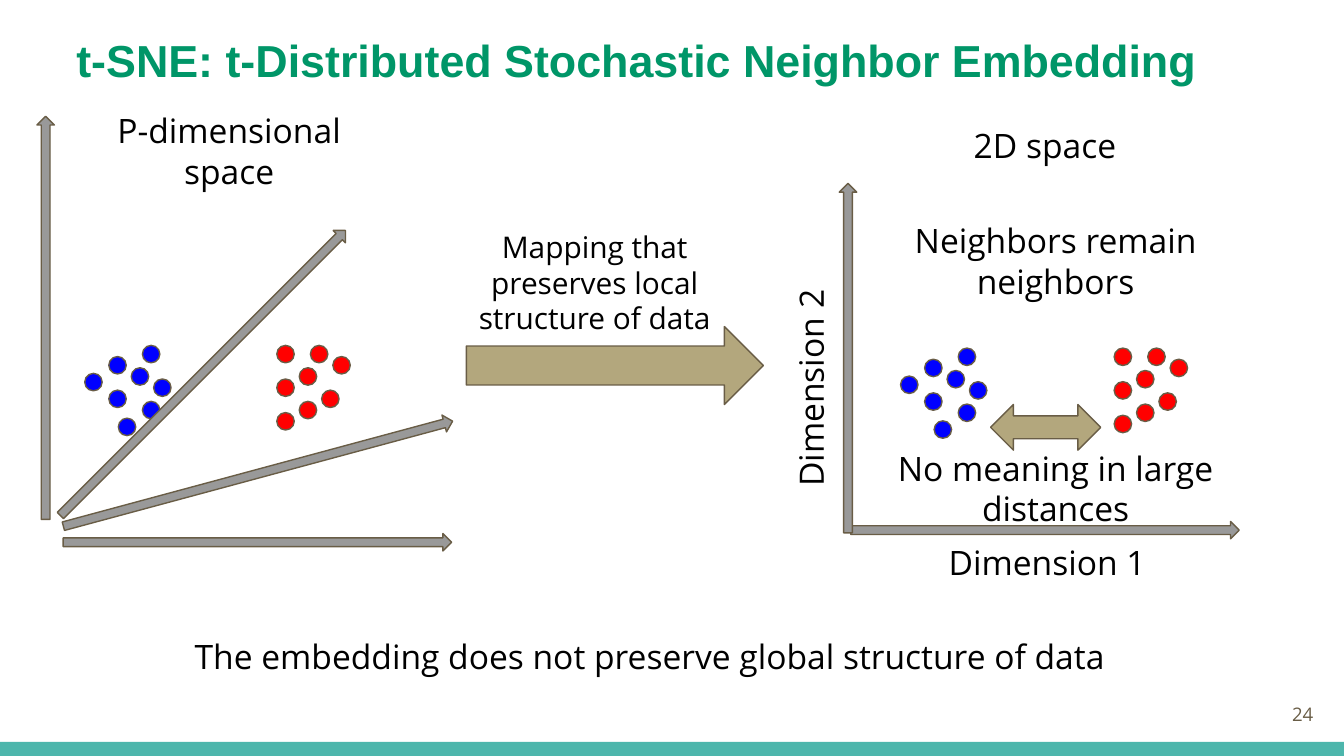
import pptx
import pptx.dml.color
import pptx.enum.shapes
import pptx.enum.text
import pptx.util
from dataclasses import dataclass

SHAPE = pptx.enum.shapes.MSO_SHAPE
ALIGN = pptx.enum.text.PP_ALIGN
ANCHOR = pptx.enum.text.MSO_ANCHOR

# The slide is a grid of 100 columns; rows have the same size
CELL = pptx.util.Inches(0.1)
COLUMNS, ROWS = 100, 56.25


@dataclass(frozen=True)
class Theme:
    heading_font: str = "Arial"
    body_font: str = "Open Sans"
    heading_size: int = 24
    body_size: int = 18
    caption_size: int = 16
    number_size: int = 10
    heading: str = "009668"
    ink: str = "000000"
    outline: str = "695D46"
    paper: str = "FFFFFF"
    band: str = "4DB6AC"
    axis: str = "999999"
    arrow: str = "B3A77D"
    blue: str = "0000FF"
    red: str = "FF0000"


THEME = Theme()

# Dots of each cluster, in steps of a twelfth of an inch
DOT_STEP = 10 / 12
DOT_SIZE = 1.3
RED_DOTS = [(3, 0), (5, 1), (2, 2), (2, 5), (4, 4), (0, 3), (0, 0), (0, 6)]
BLUE_DOTS = [(3, 5), (2, 2), (0, 4), (0, 1), (4, 3), (3, 0),
             (0.85, 6.5), (-2.15, 2.5)]


def rgb(value):
    return pptx.dml.color.RGBColor.from_string(value)


def cells(*counts):
    return [round(count * CELL) for count in counts]


def add_figure(page, kind, area, fill, line=THEME.outline, angle=0):
    figure = page.shapes.add_shape(kind, *cells(*area))
    figure.shadow.inherit = False
    figure.rotation = angle
    figure.fill.solid()
    figure.fill.fore_color.rgb = rgb(fill)
    if line:
        figure.line.color.rgb = rgb(line)
        figure.line.width = pptx.util.Pt(0.75)
    else:
        figure.line.fill.background()
    return figure


def add_text(page, text, area, size=THEME.body_size, color=THEME.ink,
             font=THEME.body_font, align=ALIGN.CENTER, anchor=ANCHOR.TOP,
             bold=False, angle=0):
    box = page.shapes.add_textbox(*cells(*area))
    box.rotation = angle
    frame = box.text_frame
    frame.word_wrap = True
    frame.vertical_anchor = anchor
    frame.margin_left = frame.margin_right = CELL
    frame.margin_top = frame.margin_bottom = CELL
    para = frame.paragraphs[0]
    para.text = text
    para.alignment = align
    para.font.name = font
    para.font.size = pptx.util.Pt(size)
    para.font.bold = bold
    para.font.color.rgb = rgb(color)
    return box


def add_axis(page, left, top, length, angle=0):
    add_figure(page, SHAPE.RIGHT_ARROW, (left, top, length, 1.3),
               THEME.axis, angle=angle)


def add_cluster(page, left, top, dots, color):
    for column, row in dots:
        area = (left + column * DOT_STEP, top + row * DOT_STEP,
                DOT_SIZE, DOT_SIZE)
        add_figure(page, SHAPE.FLOWCHART_CONNECTOR, area, color)


def add_frame(page):
    add_figure(page, SHAPE.RECTANGLE, (0, 55.2, COLUMNS, ROWS - 55.2),
               THEME.band, line=None)
    title = add_text(page, "t-SNE: t-Distributed Stochastic Neighbor Embedding",
                     (4.7, 1.4, 91.6, 4.8), THEME.heading_size, THEME.heading,
                     THEME.heading_font, ALIGN.LEFT, bold=True)
    title.line.color.rgb = rgb(THEME.paper)
    title.line.width = pptx.util.Pt(0.75)
    add_text(page, "24", (92.7, 51, 6, 4.3), THEME.number_size, THEME.outline,
             align=ALIGN.RIGHT, anchor=ANCHOR.MIDDLE)


def add_source_space(page):
    add_cluster(page, 20.6, 25.7, RED_DOTS, THEME.red)
    add_cluster(page, 8.1, 25.7, BLUE_DOTS, THEME.blue)
    add_text(page, "P-dimensional space", (7.1, 7.2, 19.9, 6.7))
    add_axis(page, 4.7, 39.7, 28.9)
    for left, top, angle in [(4.2, 34.6, 344.9), (0.1, 27.1, 315),
                             (-11.6, 23, 270)]:
        add_axis(page, left, top, 30, angle)


def add_mapping(page):
    add_figure(page, SHAPE.RIGHT_ARROW, (34.7, 24.3, 22.1, 5.8), THEME.arrow)
    add_text(page, "Mapping that preserves local structure of data",
             (33.5, 16, 21.5, 10.5), THEME.caption_size)


def add_target_space(page):
    add_axis(page, 63.3, 38.8, 28.9)
    add_axis(page, 50.1, 26, 26, 270)
    add_cluster(page, 82.9, 25.9, RED_DOTS, THEME.red)
    add_cluster(page, 68.8, 25.9, BLUE_DOTS, THEME.blue)
    add_text(page, "Dimension 1", (69.6, 39.3, 17.9, 4.7), align=ALIGN.LEFT)
    add_text(page, "Dimension 2", (51.2, 25.9, 17.9, 4.7), align=ALIGN.LEFT,
             angle=270)
    add_text(page, "2D space", (67.8, 8.3, 19.9, 5.6))
    add_text(page, "Neighbors remain neighbors", (62.3, 15.4, 32.5, 5.6))
    add_figure(page, SHAPE.LEFT_RIGHT_ARROW, (73.7, 30.1, 8.2, 3.4),
               THEME.arrow)
    add_text(page, "No meaning in large distances", (62.3, 32.3, 32.5, 5.6))


def main():
    deck = pptx.Presentation()
    deck.slide_width, deck.slide_height = cells(COLUMNS, ROWS)
    page = deck.slides.add_slide(deck.slide_layouts[6])

    add_frame(page)
    add_source_space(page)
    add_mapping(page)
    add_target_space(page)

    # Conclusion
    add_text(page, "The embedding does not preserve global structure of data",
             (13.5, 46.3, 71.1, 8.6), align=ALIGN.LEFT)
    deck.save("out.pptx")


if __name__ == "__main__":
    main()
